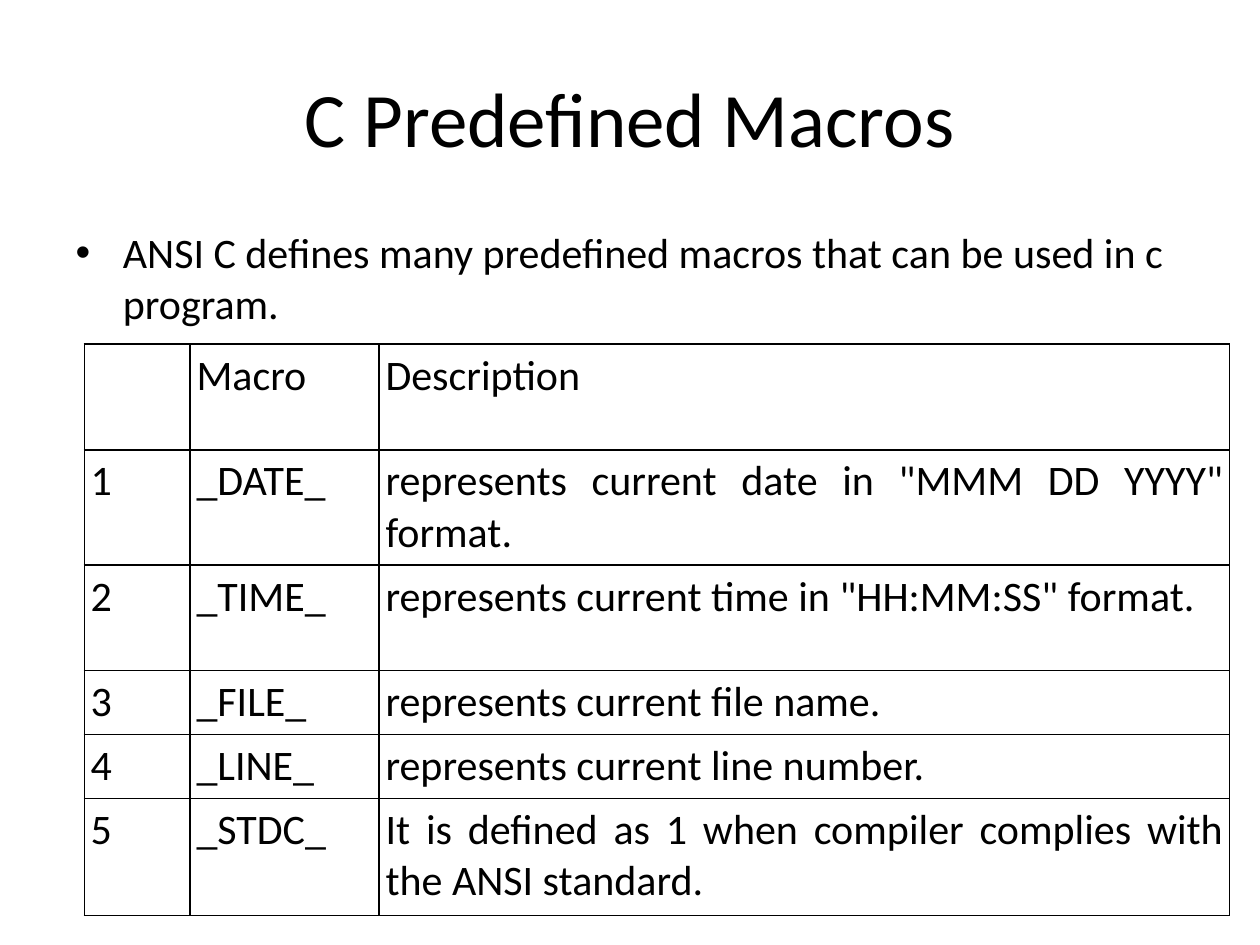
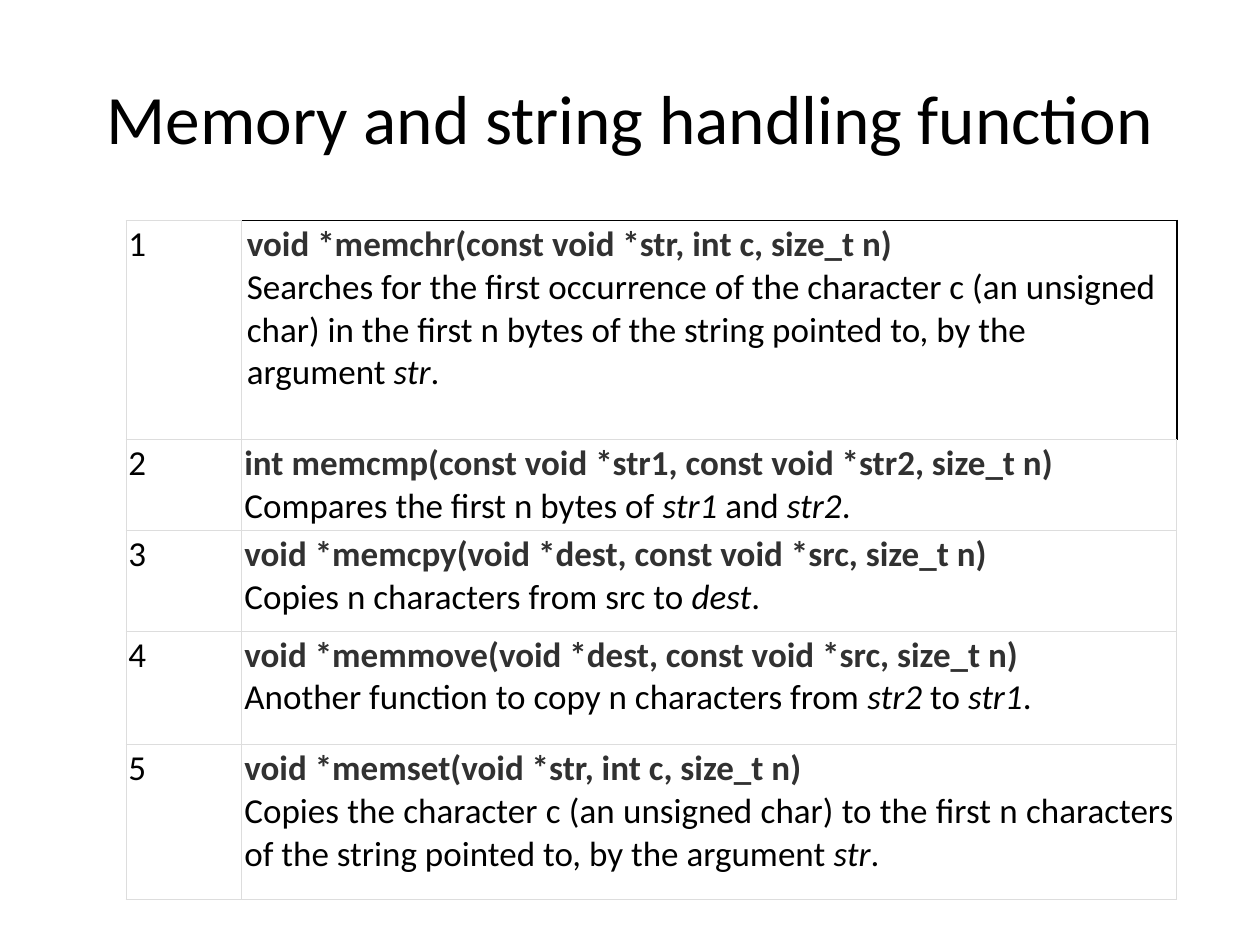
"""Build two slides on C predefined macros and memory handling functions."""
from lxml import etree
from pptx import Presentation
from pptx import util as u
from pptx.dml import color
from pptx.enum import text
from pptx.oxml import ns

THEME = {
    "font": "Calibri", "ink": "000000", "code": "313131", "grid": "DDDDDD",
    "title": 44, "long_title": 39.6, "body": 24, "entry": 20,
}
TITLE_AREA = (0.5, 0.3, 9, 1.25)
BODY_AREA = (0.5, 1.75, 9, 4.95)
JUSTIFY, LEFT = text.PP_ALIGN.JUSTIFY, text.PP_ALIGN.LEFT

INTRO = "ANSI C defines many predefined macros that can be used in c program."
MACROS = [
    ("", "Macro", "Description"),
    ("1", "_DATE_", 'represents current date in "MMM DD YYYY" format.'),
    ("2", "_TIME_", 'represents current time in "HH:MM:SS" format.'),
    ("3", "_FILE_", "represents current file name."),
    ("4", "_LINE_", "represents current line number."),
    ("5", "_STDC_", "It is defined as 1 when compiler complies with the ANSI standard."),
]
MACRO_GRID = {"at": (0.67, 2.73), "columns": (0.84, 1.5, 6.75),
              "rows": (0.84, 0.91, 0.84, 0.5, 0.5, 0.93)}

FUNCTIONS = [
    ("void *memchr(const void *str, int c, size_t n)",
     "Searches for the first occurrence of the character c (an unsigned char) in the "
     "first n bytes of the string pointed to, by the argument |str|."),
    ("int memcmp(const void *str1, const void *str2, size_t n)",
     "Compares the first n bytes of |str1| and |str2|."),
    ("void *memcpy(void *dest, const void *src, size_t n)",
     "Copies n characters from src to |dest|."),
    ("void *memmove(void *dest, const void *src, size_t n)",
     "Another function to copy n characters from |str2| to |str1|."),
    ("void *memset(void *str, int c, size_t n)",
     "Copies the character c (an unsigned char) to the first n characters of the "
     "string pointed to, by the argument |str|."),
]
FUNCTION_GRID = {"at": (1, 1.75), "columns": (0.92, 7.42),
                 "rows": (1.74, 0.72, 0.8, 0.9, 1.23)}


def place(box, area):
    for name, value in zip(("left", "top", "width", "height"), area):
        setattr(box, name, u.Inches(value))


def add_span(para, words, size, ink=THEME["ink"], **styles):
    span = para.add_run()
    span.text = words
    formats = {"name": THEME["font"], "size": u.Pt(size), **styles}
    for name, value in formats.items():
        setattr(span.font, name, value)
    span.font.color.rgb = color.RGBColor.from_string(ink)


def add_page(deck, layout, title, size):
    page = deck.slides.add_slide(deck.slide_layouts[layout])
    place(page.shapes.title, TITLE_AREA)
    add_span(page.shapes.title.text_frame.paragraphs[0], title, size)
    return page


def add_grid(page, at, columns, rows):
    area = [u.Inches(value) for value in (*at, sum(columns), sum(rows))]
    table = page.shapes.add_table(len(rows), len(columns), *area).table
    table.first_row = table.horz_banding = False
    for column, width in zip(table.columns, columns):
        column.width = u.Inches(width)
    for row, height in zip(table.rows, rows):
        row.height = u.Inches(height)
    return table


def set_borders(cell, sides):
    properties = cell._tc.get_or_add_tcPr()
    for side in "LRTB":
        ink, points = sides[side]
        line = etree.SubElement(properties, ns.qn(f"a:ln{side}"), w=str(u.Pt(points)))
        fill = etree.SubElement(line, ns.qn("a:solidFill"))
        etree.SubElement(fill, ns.qn("a:srgbClr"), val=ink)


def style_cell(cell, sides, across, down):
    margins = {"margin_left": across, "margin_right": across,
               "margin_top": down, "margin_bottom": down}
    for name, value in margins.items():
        setattr(cell, name, u.Inches(value))
    set_borders(cell, sides)
    cell.fill.background()


def build_macros(deck):
    page = add_page(deck, 1, "C Predefined Macros", THEME["title"])
    body = page.placeholders[1]
    place(body, BODY_AREA)
    add_span(body.text_frame.paragraphs[0], INTRO, THEME["body"])
    table = add_grid(page, **MACRO_GRID)
    sides = dict.fromkeys("LRTB", (THEME["ink"], 1))
    for row, entries in enumerate(MACROS):
        for column, words in enumerate(entries):
            cell = table.cell(row, column)
            style_cell(cell, sides, 0.05, 0.05)
            if words:
                para = cell.text_frame.paragraphs[0]
                para.alignment = JUSTIFY if row else LEFT
                add_span(para, words, THEME["body"])


def build_functions(deck):
    page = add_page(deck, 5, "Memory and string handling function", THEME["long_title"])
    table = add_grid(page, **FUNCTION_GRID)
    pale = dict.fromkeys("LRTB", (THEME["grid"], 0.5))
    dark_corner = pale | dict.fromkeys("RT", (THEME["ink"], 1))
    for row, (signature, description) in enumerate(FUNCTIONS):
        number, entry = table.cell(row, 0), table.cell(row, 1)
        style_cell(number, pale, 0.02, 0.02)
        style_cell(entry, pale if row else dark_corner, 0.02 if row else 0.04, 0.02)
        add_span(number.text_frame.paragraphs[0], str(row + 1), THEME["entry"])
        heading = entry.text_frame.paragraphs[0]
        details = entry.text_frame.add_paragraph()
        heading.alignment = details.alignment = JUSTIFY if row else LEFT
        add_span(heading, signature, THEME["entry"], THEME["code"], bold=True)
        for index, words in enumerate(description.split("|")):
            add_span(details, words, THEME["entry"], italic=index % 2 == 1)


def main():
    deck = Presentation()
    deck.slide_width, deck.slide_height = u.Inches(10), u.Inches(7.5)
    build_macros(deck)
    build_functions(deck)
    deck.save("out.pptx")


if __name__ == "__main__":
    main()
